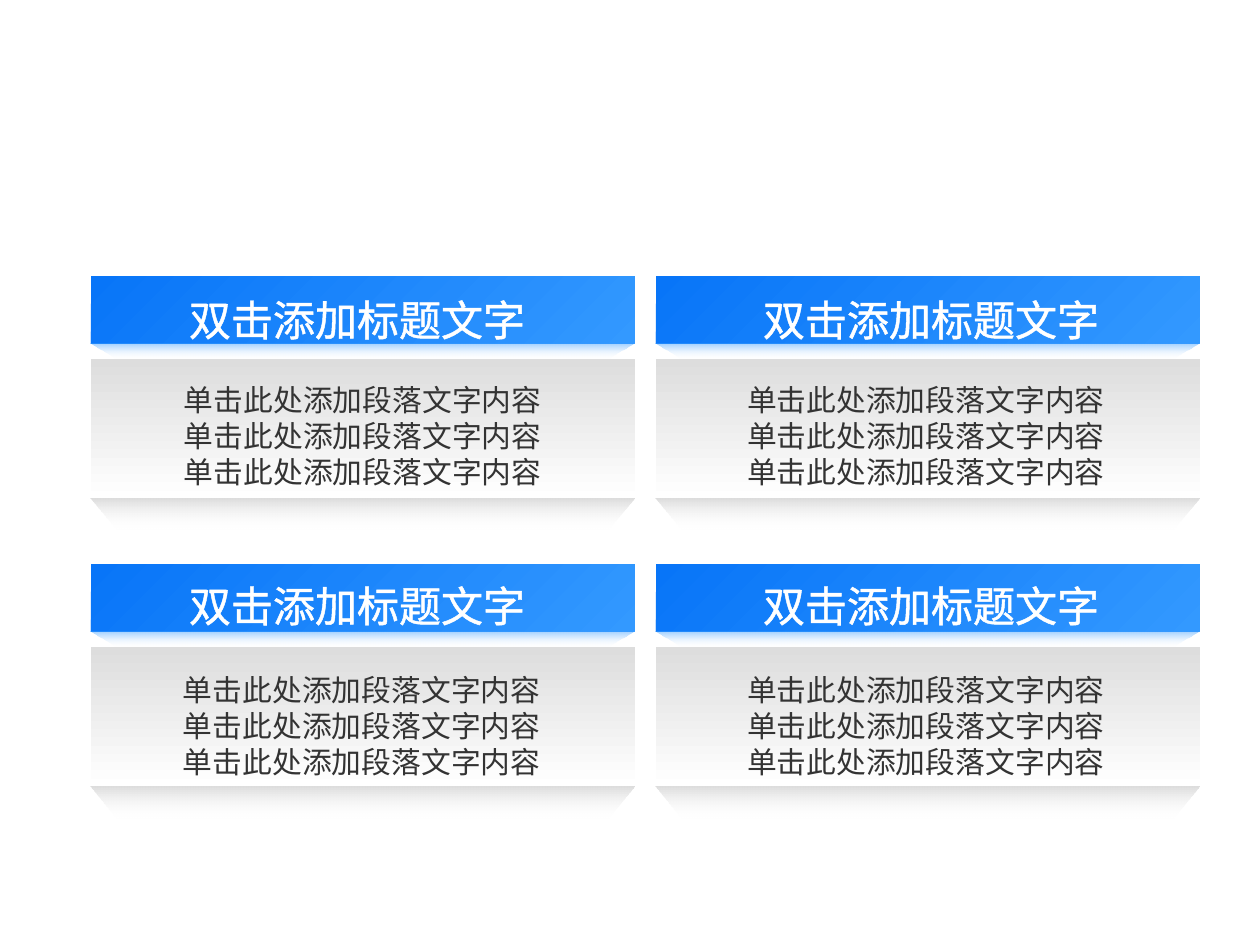
"""Build a slide of four folded cards, each with a heading and three lines."""
from lxml.etree import SubElement as Sub
from pptx import Presentation
from pptx.dml.color import RGBColor as RGB
from pptx.enum.shapes import MSO_CONNECTOR as Conn, MSO_SHAPE as Shape
from pptx.enum.text import MSO_ANCHOR as Anchor, PP_ALIGN as Align
from pptx.oxml.ns import qn
from pptx.util import Pt

HEAD = "双击添加标题文字"
LINES = ["单击此处添加段落文字内容"] * 3
CARDS = [
    {"at": (91, 276), "head": (177, 294), "body": (91, 373)},
    {"at": (656, 276), "head": (751, 294), "body": (654, 373)},
    {"at": (91, 564), "head": (177, 580), "body": (90, 663)},
    {"at": (656, 564), "head": (751, 580), "body": (654, 663)},
]
COL = {"navy": "0875F8", "blue": "3399FF", "grey": "DDDDDD",
       "white": "FFFFFF", "ink": "333333"}
WIDE, BAR, FOLD, PANEL, SHADE, SLANT = 544, 68, 15, 140, 31, 27
SCALE = 914400 / 126


def emu(*vals):
    return [round(val * SCALE) for val in vals]


def paint(shape, stops, angle):
    shape.shadow.inherit = False
    shape.line.fill.background()
    shape.fill.gradient()
    shape.fill.gradient_angle = 360 - angle
    for stop, (name, _) in zip(shape.fill.gradient_stops, stops):
        stop.color.rgb = RGB.from_string(COL[name])
    tints = shape._element.spPr.iter(qn("a:srgbClr"))
    for tint, (_, alpha) in zip(tints, stops):
        if alpha < 100:
            Sub(tint, qn("a:alpha"), val=str(alpha * 1000))


def block(group, x, y, high, stops, angle):
    shape = group.shapes.add_shape(Shape.RECTANGLE, *emu(x, y, WIDE, high))
    paint(shape, stops, angle)


def flap(group, x, y, high, stops):
    pen = group.shapes.build_freeform(x, y, scale=SCALE)
    pen.add_line_segments([(x + SLANT, y + high), (x + WIDE - SLANT, y + high),
                           (x + WIDE, y)])
    paint(pen.convert_to_shape(), stops, 90)


def edge(group, x, y):
    line = group.shapes.add_connector(Conn.STRAIGHT, *emu(x, y, x + WIDE, y))
    line.line.color.rgb = RGB.from_string(COL["white"])
    line.line.width = Pt(1.5)
    Sub(line._element.spPr, qn("a:effectLst"))


def write(group, box, lines, face, size, color, pad, wrap):
    frame = group.shapes.add_textbox(*emu(*box)).text_frame
    frame.word_wrap = wrap
    frame.margin_left = frame.margin_right = emu(pad[0])[0]
    frame.margin_top = frame.margin_bottom = emu(pad[1])[0]
    frame.text = "\n".join(lines)
    for para in frame.paragraphs:
        para.alignment = Align.CENTER
        para.font.name = face
        para.font.size = Pt(size)
        para.font.color.rgb = RGB.from_string(COL[color])
        for run in para.runs:
            Sub(run._r.get_or_add_rPr(), qn("a:ea"), typeface=face)
    return frame


def outline(run, color):
    line = Sub(run._r.get_or_add_rPr(), qn("a:ln"), w=str(Pt(0.75)))
    Sub(Sub(line, qn("a:solidFill")), qn("a:srgbClr"), val=COL[color])
    run._r.get_or_add_rPr().insert(0, line)


def card(slide, spot):
    group = slide.shapes.add_group_shape()
    x, top = spot["at"]
    fold = top + BAR
    panel = fold + FOLD
    base = panel + PANEL
    block(group, x, panel, PANEL, [("grey", 100), ("white", 100)], 90)
    edge(group, x, base)
    flap(group, x, base, SHADE, [("grey", 100), ("white", 0)])
    block(group, x, top, BAR, [("navy", 100), ("blue", 100)], 45)
    flap(group, x, fold, FOLD, [("blue", 50), ("white", 0)])
    head = write(group, (*spot["head"], 360, 39), [HEAD],
                 "Noto Sans CJK SC", 24, "white", (0, 0), False)
    outline(head.paragraphs[0].runs[0], "white")
    body = write(group, (*spot["body"], WIDE, 125), LINES,
                 "Arial", 17, "ink", (16, 8), True)
    body.vertical_anchor = Anchor.MIDDLE
    for para in body.paragraphs:
        para.line_spacing = Pt(20.4)


def main():
    deck = Presentation()
    deck.slide_width, deck.slide_height = emu(1260, 945)
    slide = deck.slides.add_slide(deck.slide_layouts[6])
    for spot in CARDS:
        card(slide, spot)
    deck.save("out.pptx")


if __name__ == "__main__":
    main()
